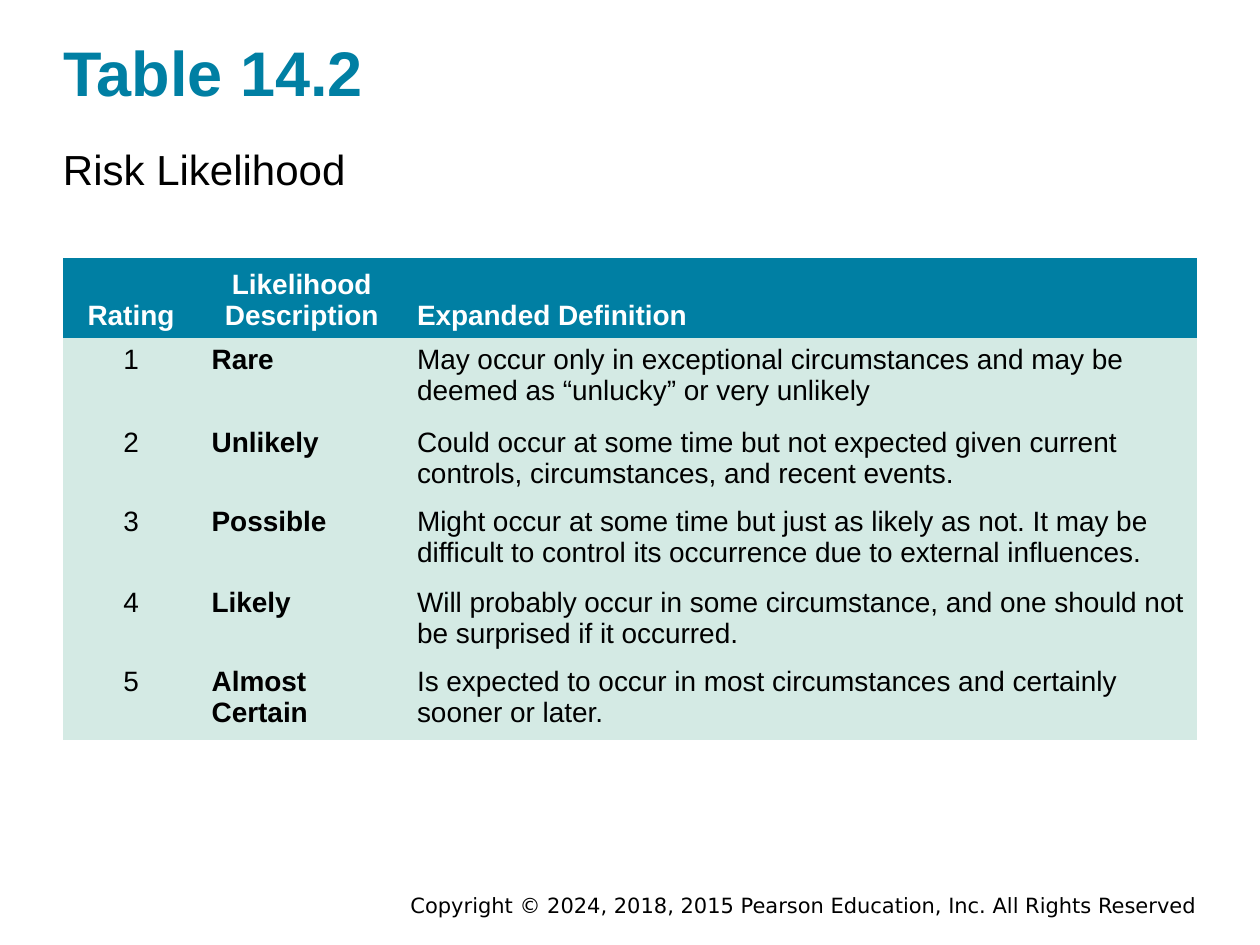
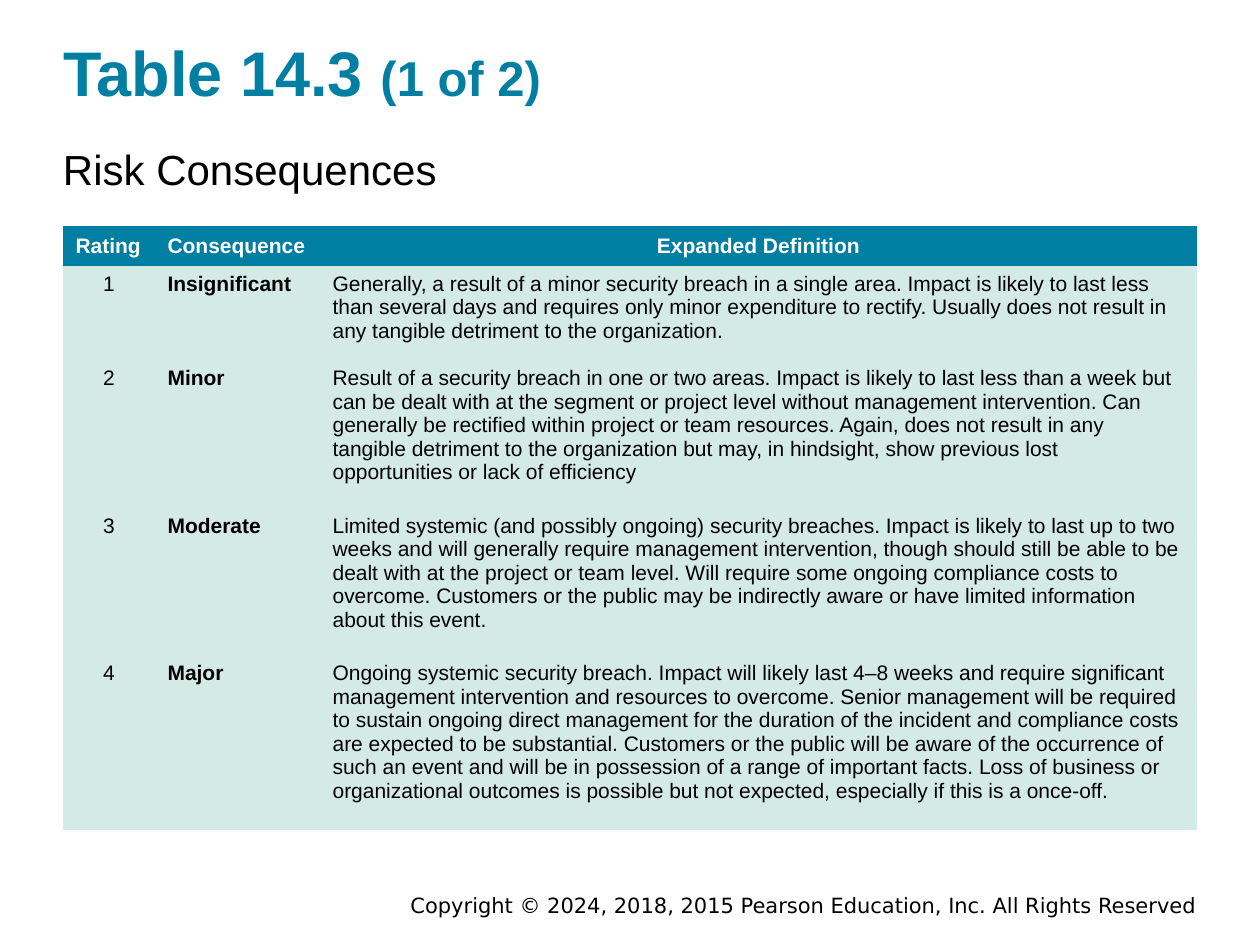
"""Build two slides with tables of risk likelihood and risk consequences."""
from pptx import Presentation
from pptx.dml.color import RGBColor
from pptx.enum.text import MSO_ANCHOR, MSO_AUTO_SIZE, PP_ALIGN
from pptx.util import Inches, Pt

LEFT, CENTER, RIGHT = PP_ALIGN.LEFT, PP_ALIGN.CENTER, PP_ALIGN.RIGHT
TOP, MIDDLE, BOTTOM = MSO_ANCHOR.TOP, MSO_ANCHOR.MIDDLE, MSO_ANCHOR.BOTTOM
NO_AUTO_SIZE = MSO_AUTO_SIZE.NONE

BLUE = RGBColor(0x00, 0x7F, 0xA3)
MINT = RGBColor(0xD4, 0xEA, 0xE4)
WHITE = RGBColor(0xFF, 0xFF, 0xFF)
BLACK = RGBColor(0x00, 0x00, 0x00)

FONT = "Arial"
FOOTER_FONT = "DejaVu Sans"
FOOTER = "Copyright © 2024, 2018, 2015 Pearson Education, Inc. All Rights Reserved"
PLAIN_TABLE_STYLE = "{2D5ABB26-0587-4C30-8999-92F81FD0307C}"
TITLE_ONLY_LAYOUT = 5
MARGIN, CONTENT_WIDTH = 0.5, 9

TABLE_SLIDES = [
    {
        "title": "Table 14.2",
        "part": "",
        "subtitle": "Risk Likelihood",
        "top": 2.05,
        "columns": [1.08, 1.63, 6.29],
        "heights": [0.63, 0.66, 0.63, 0.64, 0.63, 0.63],
        "size": 16,
        "header_anchor": BOTTOM,
        "header_alignments": [CENTER, CENTER, LEFT],
        "rows": [
            ["Rating", "Likelihood Description", "Expanded Definition"],
            ["1", "Rare",
             "May occur only in exceptional circumstances and may be deemed as “unlucky” or very unlikely"],
            ["2", "Unlikely",
             "Could occur at some time but not expected given current controls, circumstances, "
             "and recent events."],
            ["3", "Possible",
             "Might occur at some time but just as likely as not. It may be difficult to control "
             "its occurrence due to external influences."],
            ["4", "Likely",
             "Will probably occur in some circumstance, and one should not be surprised if it occurred."],
            ["5", "Almost Certain",
             "Is expected to occur in most circumstances and certainly sooner or later."],
        ],
    },
    {
        "title": "Table 14.3 ",
        "part": "(1 of 2)",
        "subtitle": "Risk Consequences",
        "top": 1.79,
        "columns": [0.73, 1.31, 6.96],
        "heights": [0.32, 0.75, 1.17, 1.17, 1.39],
        "size": 12,
        "header_anchor": MIDDLE,
        "header_alignments": [LEFT, LEFT, CENTER],
        "rows": [
            ["Rating", "Consequence", "Expanded Definition"],
            ["1", "Insignificant",
             "Generally, a result of a minor security breach in a single area. Impact is likely to "
             "last less than several days and requires only minor expenditure to rectify. Usually "
             "does not result in any tangible detriment to the organization."],
            ["2", "Minor",
             "Result of a security breach in one or two areas. Impact is likely to last less than a "
             "week but can be dealt with at the segment or project level without management "
             "intervention. Can generally be rectified within project or team resources. Again, does "
             "not result in any tangible detriment to the organization but may, in hindsight, show "
             "previous lost opportunities or lack of efficiency"],
            ["3", "Moderate",
             "Limited systemic (and possibly ongoing) security breaches. Impact is likely to last up "
             "to two weeks and will generally require management intervention, though should still be "
             "able to be dealt with at the project or team level. Will require some ongoing compliance "
             "costs to overcome. Customers or the public may be indirectly aware or have limited "
             "information about this event."],
            ["4", "Major",
             "Ongoing systemic security breach. Impact will likely last 4–8 weeks and require "
             "significant management intervention and resources to overcome. Senior management will "
             "be required to sustain ongoing direct management for the duration of the incident and "
             "compliance costs are expected to be substantial. Customers or the public will be aware "
             "of the occurrence of such an event and will be in possession of a range of important "
             "facts. Loss of business or organizational outcomes is possible but not expected, "
             "especially if this is a once-off."],
        ],
    },
]


def write(text_frame, text, size, color=BLACK, bold=False, font=FONT, alignment=LEFT):
    """Append a formatted run to the first paragraph of a text frame."""
    paragraph = text_frame.paragraphs[0]
    paragraph.alignment = alignment
    run = paragraph.add_run()
    run.text = text
    run.font.name = font
    run.font.size = Pt(size)
    run.font.bold = bold
    run.font.color.rgb = color


def place(shape, left, top, width, height):
    """Position a text shape and return its text frame with the shared insets."""
    shape.left, shape.top = Inches(left), Inches(top)
    shape.width, shape.height = Inches(width), Inches(height)
    text_frame = shape.text_frame
    text_frame.word_wrap = True
    text_frame.auto_size = NO_AUTO_SIZE
    text_frame.vertical_anchor = MIDDLE
    text_frame.margin_left = text_frame.margin_right = 0
    text_frame.margin_top = text_frame.margin_bottom = Inches(0.02)
    return text_frame


presentation = Presentation()
presentation.slide_width = Inches(10)
presentation.slide_height = Inches(7.5)

for content in TABLE_SLIDES:
    slide = presentation.slides.add_slide(presentation.slide_layouts[TITLE_ONLY_LAYOUT])

    title = place(slide.shapes.title, MARGIN, 0.24, CONTENT_WIDTH, 0.65)
    write(title, content["title"], 36, color=BLUE, bold=True)
    if content["part"]:
        write(title, content["part"], 28, color=BLUE, bold=True)

    subtitle = place(slide.shapes.add_textbox(0, 0, 0, 0), MARGIN, 1.12, CONTENT_WIDTH, 0.44)
    write(subtitle, content["subtitle"], 24)

    footer = place(slide.shapes.add_textbox(0, 0, 0, 0), 2.3, 7.06, 7.2, 0.24)
    write(footer, FOOTER, 12, font=FOOTER_FONT, alignment=RIGHT)

    rows, columns, heights = content["rows"], content["columns"], content["heights"]
    frame = slide.shapes.add_table(
        len(rows), len(columns), Inches(MARGIN), Inches(content["top"]),
        Inches(CONTENT_WIDTH), Inches(sum(heights)))
    table = frame.table
    table.horz_banding = False
    frame.element.xpath(".//a:tableStyleId")[0].text = PLAIN_TABLE_STYLE
    for column, width in zip(table.columns, columns):
        column.width = Inches(width)

    for row_index, (row, height) in enumerate(zip(rows, heights)):
        table.rows[row_index].height = Inches(height)
        is_header = row_index == 0
        alignments = content["header_alignments"] if is_header else [CENTER, LEFT, LEFT]
        for column_index, text in enumerate(row):
            cell = table.cell(row_index, column_index)
            cell.fill.solid()
            cell.fill.fore_color.rgb = BLUE if is_header else MINT
            cell.vertical_anchor = content["header_anchor"] if is_header else TOP
            write(cell.text_frame, text, content["size"],
                  color=WHITE if is_header else BLACK,
                  bold=is_header or column_index == 1,
                  alignment=alignments[column_index])

presentation.save("out.pptx")
